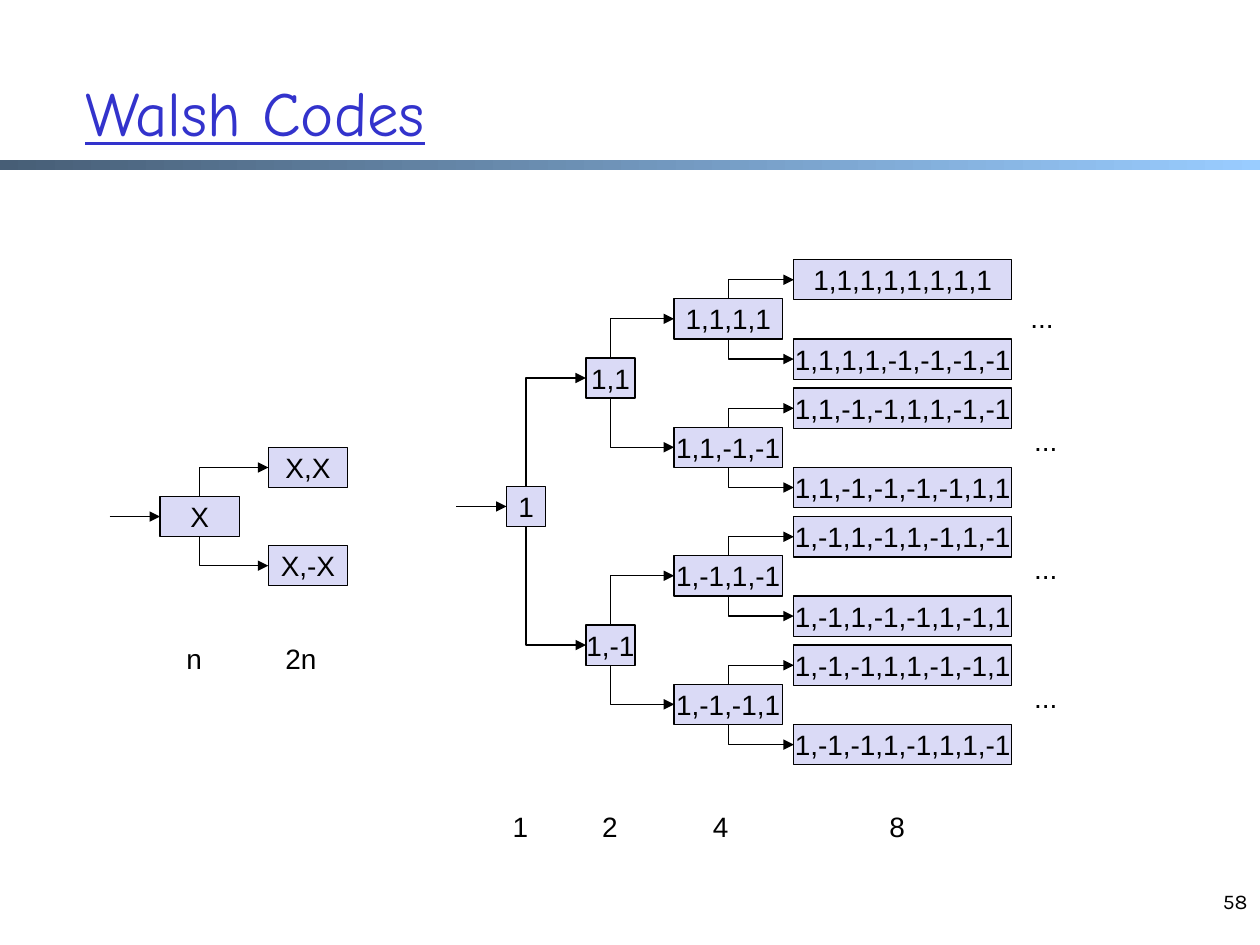
from pptx import Presentation
from pptx.dml.color import RGBColor
from pptx.enum.shapes import MSO_CONNECTOR, MSO_SHAPE
from pptx.enum.text import MSO_ANCHOR, PP_ALIGN
from pptx.oxml.ns import qn
from pptx.util import Inches, Pt
from lxml.etree import SubElement

HEX = {"ink": "000000", "title": "3333CC", "box": "DADAF6",
       "dark": "475E76", "light": "99CCFF"}
BODY = {"name": "Arial", "size": Pt(16)}
HEAD = {"name": "Comic Neue", "size": Pt(35.9), "underline": True}
FOOT = {"name": "Karla", "size": Pt(12)}


def tint(name):
    return RGBColor.from_string(HEX[name])


def assign(obj, vals):
    for key, val in vals.items():
        setattr(obj, key, val)


class Deck:
    """Hold the style and the current slide, and draw its elements."""

    def __init__(self):
        self.prs = Presentation()
        assign(self.prs, {"slide_width": Inches(10), "slide_height": Inches(7.5)})
        self.slide = self.prs.slides.add_slide(self.prs.slide_layouts[6])
        self.shapes = self.slide.shapes

    def fill_text(self, shape, text, font, color, align, frame):
        assign(shape.text_frame, frame)
        para = shape.text_frame.paragraphs[0]
        para.text = text
        para.alignment = align
        assign(para.font, font)
        para.font.color.rgb = tint(color)

    def rect(self, *at):
        shape = self.shapes.add_shape(MSO_SHAPE.RECTANGLE, *map(Inches, at))
        shape.shadow.inherit = False
        return shape

    def bar(self, *at):
        shape = self.rect(*at)
        shape.line.fill.background()
        shape.fill.gradient()
        shape.fill.gradient_angle = 0
        for stop, name, pos in zip(shape.fill.gradient_stops, ("dark", "light"), (0, 1)):
            stop.color.rgb = tint(name)
            stop.position = pos

    def box(self, text, left, top, width):
        shape = self.rect(left, top, width, 0.32)
        shape.fill.solid()
        shape.fill.fore_color.rgb = tint("box")
        shape.line.color.rgb = tint("ink")
        shape.line.width = Pt(0.75)
        self.fill_text(shape, text, BODY, "ink", PP_ALIGN.CENTER,
                       {"word_wrap": False, "vertical_anchor": MSO_ANCHOR.MIDDLE})
        return shape

    def label(self, text, at, font=BODY, color="ink", align=PP_ALIGN.LEFT,
              anchor=MSO_ANCHOR.TOP):
        shape = self.shapes.add_textbox(*map(Inches, at))
        self.fill_text(shape, text, font, color, align,
                       {"word_wrap": True, "vertical_anchor": anchor})

    def arrow(self, kind, x, y, goal):
        link = self.shapes.add_connector(kind, x, y, goal.left, y)
        link.end_connect(goal, 1)
        link.line.color.rgb = tint("ink")
        link.line.width = Pt(0.75)
        props = link._element.spPr
        SubElement(props.find(qn("a:ln")), qn("a:tailEnd"), type="triangle")
        SubElement(props, qn("a:effectLst"))
        return link

    def enter(self, goal, left):
        mid = goal.top + goal.height // 2
        self.arrow(MSO_CONNECTOR.STRAIGHT, Inches(left), mid, goal)

    def branch(self, start, goal):
        down = goal.top > start.top
        x = start.left + start.width // 2
        y = start.top + (start.height if down else 0)
        link = self.arrow(MSO_CONNECTOR.ELBOW, x, y, goal)
        link.begin_connect(start, 2 if down else 0)
        end = goal.top + goal.height // 2
        wide, high = goal.left - x, abs(end - y)
        assign(link, {"left": (x + goal.left - high) // 2,
                      "top": (y + end - wide) // 2,
                      "width": high, "height": wide})
        props = link._element.spPr
        assign(props.find(qn("a:xfrm")), {"rot": 270, "flipH": down, "flipV": False})
        props.find(qn("a:prstGeom")).set("prst", "bentConnector2")


def walsh(code):
    return [code + code, code + [-bit for bit in code]]


def main():
    deck = Deck()
    deck.bar(0, 1.27, 10, 0.08)
    deck.label("58", (7.67, 7, 2.33, 0.5), FOOT, align=PP_ALIGN.RIGHT)
    deck.label("Walsh Codes", (0.58, 0.42, 8.5, 0.92), HEAD, "title",
               anchor=MSO_ANCHOR.MIDDLE)

    seed = deck.box("X", 1.27, 3.94, 0.63)
    deck.enter(seed, 0.87)
    for text, top in (("X,X", 3.55), ("X,-X", 4.33)):
        deck.branch(seed, deck.box(text, 2.13, top, 0.63))

    levels = [
        (4.02, 0.31, [3.86]),
        (4.65, 0.39, [2.84, 4.96]),
        (5.35, 0.86, [2.37 + 1.02 * i for i in range(4)]),
        (6.3, 1.73, [2.06 + 1.02 * i + gap for i in range(4) for gap in (0, 0.63)]),
    ]
    codes, nodes = [[1]], []
    for left, width, tops in levels:
        boxes = [deck.box(",".join(map(str, code)), left, top, width)
                 for code, top in zip(codes, tops)]
        for i, goal in enumerate(boxes):
            if nodes:
                deck.branch(nodes[i // 2], goal)
            else:
                deck.enter(goal, 3.62)
        nodes = boxes
        codes = [kid for code in codes for kid in walsh(code)]

    sizes = [("1", 3.78, 6.38), ("2", 4.49, 6.38), ("4", 5.37, 6.38),
             ("8", 6.77, 6.38), ("n", 1.19, 5.04), ("2n", 2.1, 5.04)]
    for text, left, top in sizes:
        deck.label(text, (left, top, 0.51, 0.37), align=PP_ALIGN.RIGHT)
    for left, top in ((8.08, 2.34), (8.11, 3.31), (8.11, 4.33), (8.11, 5.35)):
        deck.label("...", (left, top, 0.45, 0.37))
    deck.prs.save("out.pptx")


if __name__ == "__main__":
    main()
